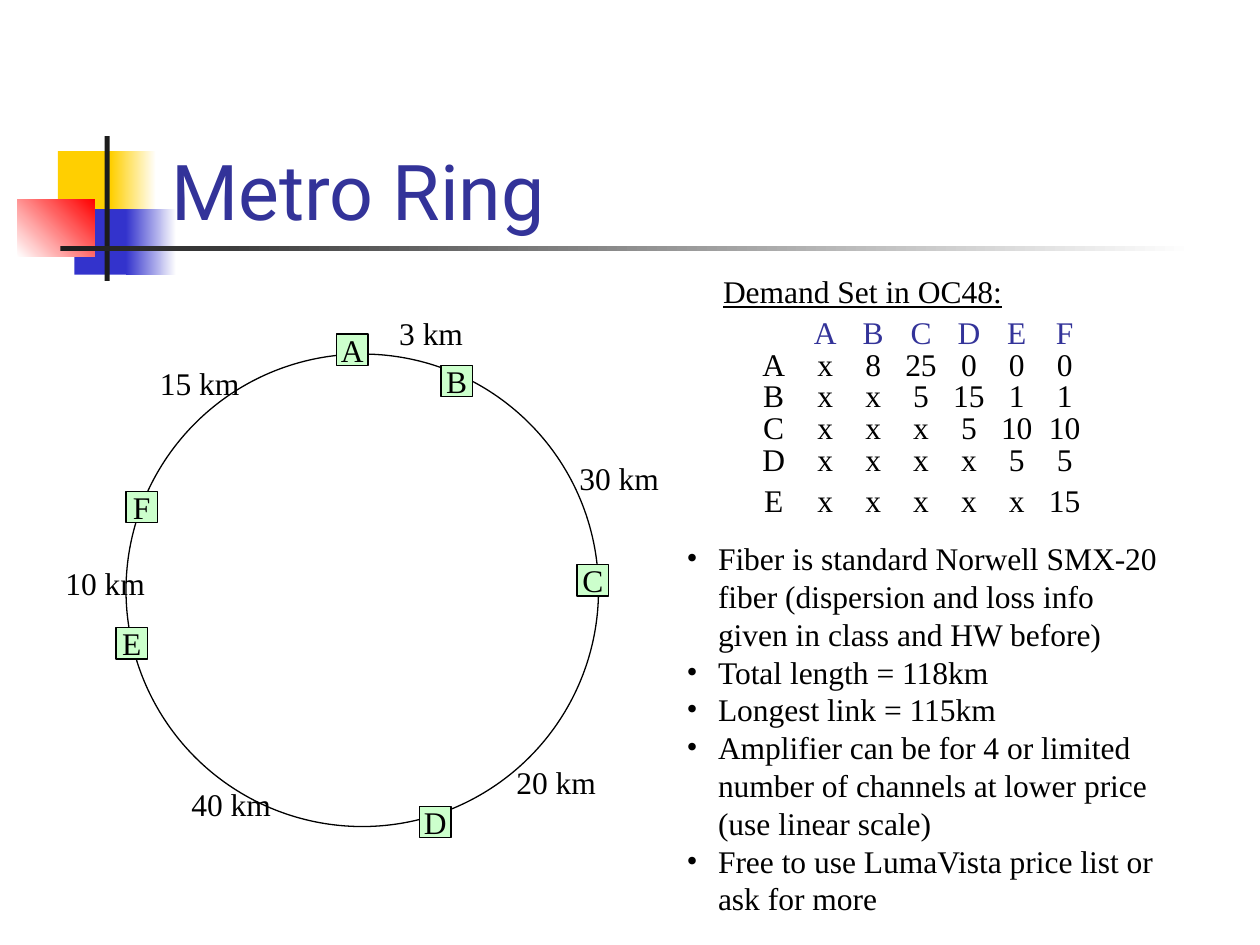
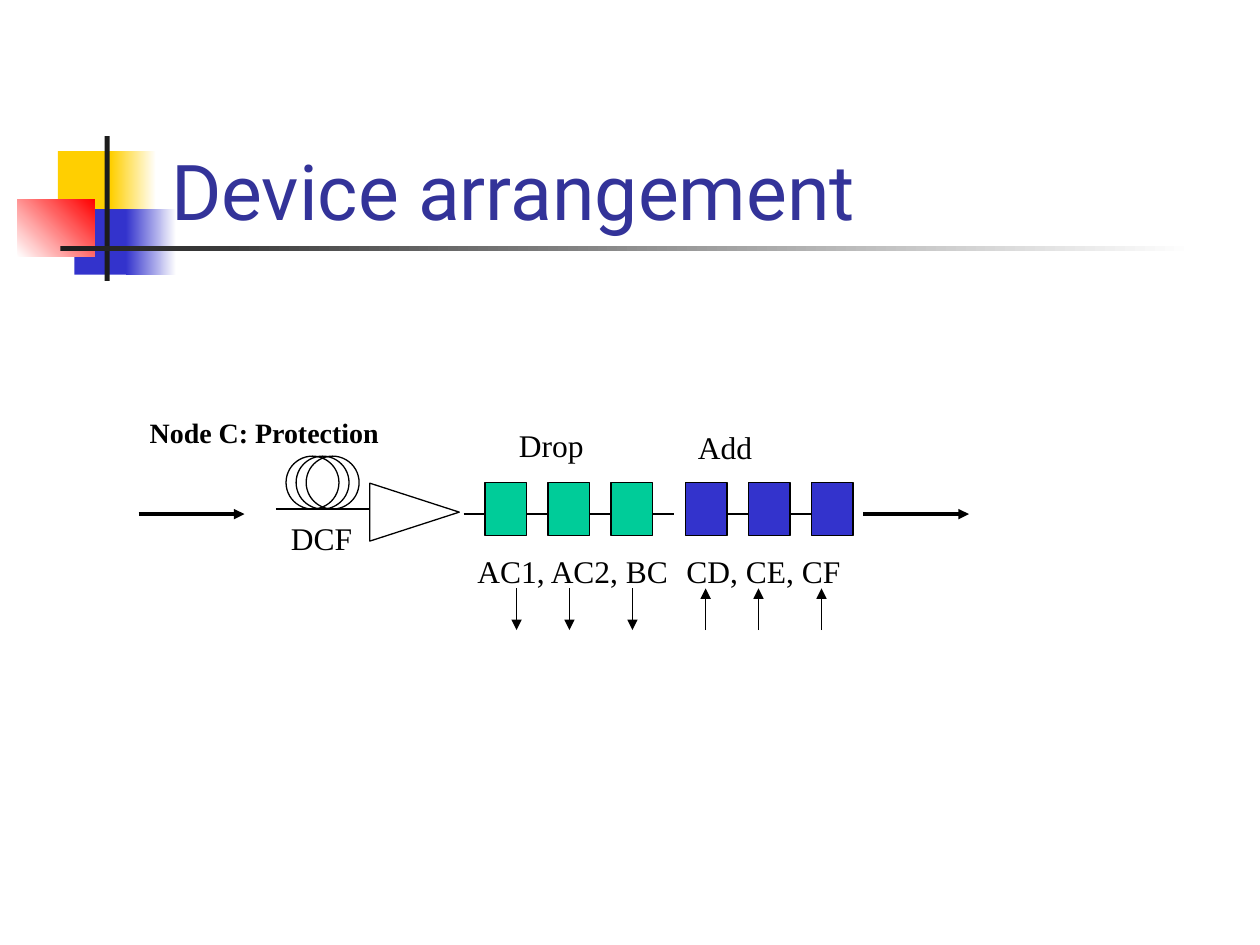
from lxml.etree import SubElement
from pptx import Presentation
from pptx.dml.color import RGBColor
from pptx.enum.shapes import MSO_CONNECTOR as Connector, MSO_SHAPE as Shape
from pptx.enum.text import MSO_ANCHOR as Anchor, PP_ALIGN as Align
from pptx.oxml.ns import qn
from pptx.util import Inches, Pt

BLACK, WHITE, CHARCOAL = "000000", "FFFFFF", "1C1C1C"
YELLOW, BLUE, RED = "FFCF01", "3333CC", "FF0000"
INDIGO, MINT, GREEN = "333399", "CCFFCC", "00CC99"
TITLE_FONT, BODY_FONT = "Roboto", "Times New Roman"


def color(hex_code):
    return RGBColor.from_string(hex_code)


def write(frame, text, size=18, font=BODY_FONT, ink=BLACK, bold=False, underline=False,
          align=Align.LEFT, anchor=Anchor.TOP, wrap=False, bullet=None, leading=None):
    frame.word_wrap = wrap
    frame.vertical_anchor = anchor
    for index, line in enumerate(text.split("\n")):
        paragraph = frame.add_paragraph() if index else frame.paragraphs[0]
        paragraph.alignment = align
        if leading:
            paragraph.line_spacing = Pt(leading)
        if bullet:
            properties = paragraph._p.get_or_add_pPr()
            properties.set("marL", str(Inches(0.25)))
            properties.set("indent", str(-Inches(0.25)))
            SubElement(properties, qn("a:buFont")).set("typeface", font)
            SubElement(properties, qn("a:buChar")).set("char", bullet)
        run = paragraph.add_run()
        run.text = line
        run.font.size = Pt(size)
        run.font.name = font
        run.font.bold = bold
        run.font.underline = underline
        run.font.color.rgb = color(ink)


def add_text(slide, left, top, width, height, text, **style):
    label = slide.shapes.add_textbox(Inches(left), Inches(top), Inches(width), Inches(height))
    write(label.text_frame, text, **style)


def add_block(slide, left, top, width, height, kind=Shape.RECTANGLE,
              fill=None, fade_to=None, angle=0, outline=BLACK):
    block = slide.shapes.add_shape(kind, Inches(left), Inches(top), Inches(width), Inches(height))
    block.shadow.inherit = False
    if fade_to:
        block.fill.gradient()
        block.fill.gradient_angle = angle
        for stop, shade in zip(block.fill.gradient_stops, (fill, fade_to)):
            stop.color.rgb = color(shade)
    elif fill:
        block.fill.solid()
        block.fill.fore_color.rgb = color(fill)
    else:
        block.fill.background()
    if outline:
        block.line.color.rgb = color(outline)
        block.line.width = Pt(0.75)
    else:
        block.line.fill.background()
    return block


def add_line(slide, x1, y1, x2, y2, weight=0.75, arrow=False):
    line = slide.shapes.add_connector(
        Connector.STRAIGHT, Inches(x1), Inches(y1), Inches(x2), Inches(y2))
    line.line.color.rgb = color(BLACK)
    line.line.width = Pt(weight)
    if arrow:
        SubElement(line.line._get_or_add_ln(), qn("a:tailEnd")).set("type", "triangle")
    SubElement(line._element.spPr, qn("a:effectLst"))


def start_slide(deck, title):
    slide = deck.slides.add_slide(deck.slide_layouts[6])
    for left, top, width, height, fill, fade_to, angle in (
            (0.46, 1.2, 0.48, 0.52, YELLOW, None, 0),
            (0.88, 1.2, 0.36, 0.52, YELLOW, WHITE, 0),
            (0.59, 1.66, 0.46, 0.52, BLUE, None, 0),
            (1, 1.66, 0.4, 0.52, BLUE, WHITE, 0),
            (0.14, 1.58, 0.61, 0.46, WHITE, RED, 45),
            (0.83, 1.08, 0.04, 1.15, CHARCOAL, None, 0),
            (0.48, 1.95, 9, 0.04, CHARCOAL, WHITE, 0)):
        add_block(slide, left, top, width, height, fill=fill, fade_to=fade_to,
                  angle=angle, outline=None)
    add_text(slide, 1.26, 0.67, 8.52, 1.25, title, size=44, font=TITLE_FONT,
             ink=INDIGO, anchor=Anchor.BOTTOM, wrap=True)
    return slide


def draw_ring(slide, left, top, diameter):
    add_block(slide, left, top, diameter, diameter, Shape.OVAL)
    nodes = {"A": (1.67, -0.16), "B": (2.5, 0.09), "C": (3.58, 1.67),
             "D": (2.33, 3.59), "E": (-0.08, 2.17), "F": (0, 1.09)}
    for name, (dx, dy) in nodes.items():
        node = add_block(slide, left + dx, top + dy, 0.25, 0.25, fill=MINT)
        write(node.text_frame, name, align=Align.CENTER, anchor=Anchor.MIDDLE)
    spans = (("3 km", 2.07, -0.37), ("30 km", 3.5, 0.78), ("20 km", 3, 3.2),
             ("40 km", 0.42, 3.37), ("10 km", -0.58, 1.62), ("15 km", 0.17, 0.03))
    for distance, dx, dy in spans:
        add_text(slide, left + dx, top + dy, 0.9, 0.4, distance)


def draw_demand(slide, left, top):
    add_text(slide, left, top, 2.7, 0.4, "Demand Set in OC48:", underline=True)
    demand = (("", "A", "B", "C", "D", "E", "F"),
              ("A", "x", "8", "25", "0", "0", "0"),
              ("B", "x", "x", "5", "15", "1", "1"),
              ("C", "x", "x", "x", "5", "10", "10"),
              ("D", "x", "x", "x", "x", "5", "5"),
              ("E", "x", "x", "x", "x", "x", "15"))
    widths = [0.44] + [0.38] * 6
    heights = [0.28] + [0.25] * 4 + [0.4]
    matrix = slide.shapes.add_table(
        len(heights), len(widths), Inches(left + 0.28), Inches(top + 0.38),
        Inches(sum(widths)), Inches(sum(heights))).table
    matrix.first_row = matrix.horz_banding = False
    for column, width in zip(matrix.columns, widths):
        column.width = Inches(width)
    for row, height, values in zip(matrix.rows, heights, demand):
        header = values is demand[0]
        row.height = Inches(height)
        for cell, value in zip(row.cells, values):
            cell.fill.background()
            cell.margin_left = cell.margin_right = cell.margin_top = cell.margin_bottom = 0
            cell.vertical_anchor = Anchor.BOTTOM if header else Anchor.MIDDLE
            write(cell.text_frame, value, align=Align.CENTER, wrap=True, leading=18,
                  ink=INDIGO if header else BLACK)


def draw_notes(slide, left, top, width, height):
    notes = ("Fiber is standard Norwell SMX-20 fiber (dispersion and loss info "
             "given in class and HW before)",
             "Total length = 118km",
             "Longest link = 115km",
             "Amplifier can be for 4 or limited number of channels at lower price "
             "(use linear scale)",
             "Free to use LumaVista price list or ask for more")
    add_text(slide, left, top, width, height, "\n".join(notes), bullet="•", wrap=True)


def draw_amplifier(slide, left, axis):
    add_text(slide, left - 1.1, axis - 0.83, 2.2, 0.37, "Node C: Protection", size=16, bold=True)
    for coil in range(3):
        add_block(slide, left + 0.08 + coil * 0.08, axis - 0.46, 0.42, 0.42, Shape.OVAL)
    add_line(slide, left, axis - 0.04, left + 0.75, axis - 0.04)
    amplifier = add_block(slide, left + 0.87, axis - 0.37, 0.46, 0.71, Shape.ISOSCELES_TRIANGLE)
    amplifier.rotation = 90
    add_text(slide, left + 0.02, axis - 0.01, 0.9, 0.4, "DCF")


def draw_filters(slide, left, axis, fill, heading, heading_at, channels, channels_left,
                 wire_steps, first_arrow, upward):
    pitch, width = 0.5, 0.33
    for step in range(3):
        add_block(slide, left + step * pitch, axis - 0.25, width, 0.42, fill=fill)
    for step in wire_steps:
        wire_left = left + width + step * pitch
        add_line(slide, wire_left, axis, wire_left + pitch - width, axis)
    add_text(slide, left + heading_at[0], axis + heading_at[1], 0.9, 0.4, heading)
    add_text(slide, left + channels_left, axis + 0.25, 1.9, 0.4, channels)
    ends = (axis + 0.59, axis + 0.92)
    start, end = reversed(ends) if upward else ends
    for offset in (0, 0.42, 0.92):
        x = left + first_arrow + offset
        add_line(slide, x, start, x, end, arrow=True)


def draw_device_chain(slide, left, axis):
    for x in (left, left + 5.75):
        add_line(slide, x, axis, x + 0.84, axis, weight=2, arrow=True)
    draw_amplifier(slide, left + 1.09, axis)
    draw_filters(slide, left + 2.75, axis, GREEN, "Drop", (0.17, -0.75), "AC1, AC2, BC",
                 -0.16, range(-1, 3), 0.25, upward=False)
    draw_filters(slide, left + 4.34, axis, BLUE, "Add", (0, -0.73), "CD, CE, CF",
                 -0.09, range(2), 0.16, upward=True)


def main():
    deck = Presentation()
    deck.slide_width, deck.slide_height = Inches(10), Inches(7.5)

    metro_ring = start_slide(deck, "Metro Ring")
    draw_ring(metro_ring, 1, 2.81, 3.75)
    draw_demand(metro_ring, 5.64, 2.11)
    draw_notes(metro_ring, 5.35, 4.23, 4.02, 3.1)

    arrangement = start_slide(deck, "Device arrangement")
    draw_device_chain(arrangement, 1.1, 4.08)

    deck.save("out.pptx")


if __name__ == "__main__":
    main()
